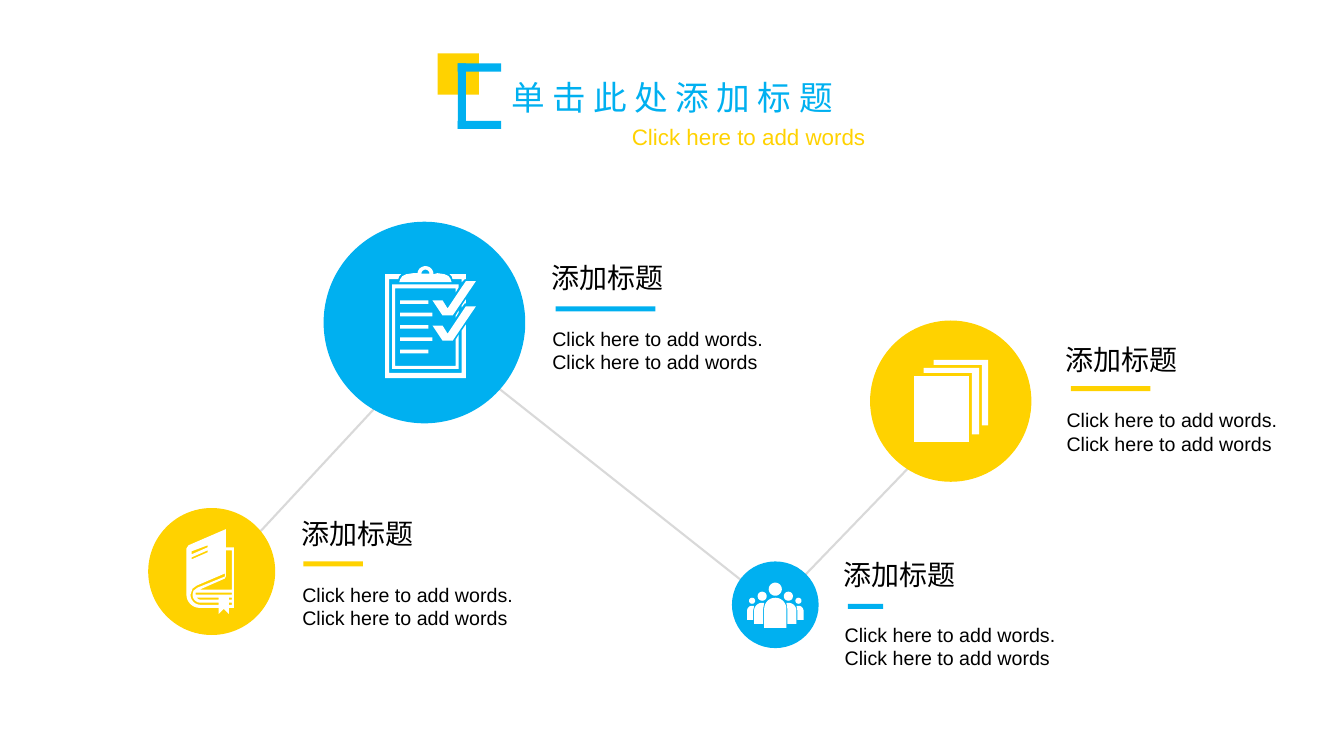
from math import cos, radians, sin

from lxml.etree import SubElement
from pptx import Presentation
from pptx.dml.color import RGBColor
from pptx.enum.shapes import MSO_CONNECTOR as Link, MSO_SHAPE as Kind
from pptx.enum.text import MSO_ANCHOR as Anchor, MSO_AUTO_SIZE as Fit, PP_ALIGN as Align
from pptx.oxml.ns import qn
from pptx.util import Pt

PX = 9144  # 100 px to the inch
BLUE, GOLD, GREY = "00B0F0", "FFD200", "D9D9D9"
WHITE, BLACK = "FFFFFF", "000000"
WORDS = "Click here to add words"

# circle (x, y, size), heading (x, y), bar (x, y, width), colour
NODES = [
    ((321, 220, 200), (537, 254), (551, 304, 99), BLUE),
    ((863, 318, 160), (1047, 335), (1062, 383, 79), GOLD),
    ((147, 504, 126), (289, 508), (301, 557, 59), GOLD),
    ((726, 557, 86), (827, 548), (841, 599, 35), BLUE),
]
LINKS = [(771, 604, 421, 327), (771, 599, 961, 402), (443, 328, 226, 562)]


def scale(*nums):
    return [round(n * PX) for n in nums]


def color(text):
    return RGBColor.from_string(text)


def paint(shape, fill):
    shape.shadow.inherit = False
    shape.fill.solid()
    shape.fill.fore_color.rgb = color(fill)
    shape.line.fill.background()


def block(slide, kind, x, y, w, h, fill):
    paint(slide.shapes.add_shape(kind, *scale(x, y, w, h)), fill)


def link(slide, ends):
    line = slide.shapes.add_connector(Link.STRAIGHT, *scale(*ends))
    line.line.color.rgb = color(GREY)
    line.line.width = Pt(1.5)
    SubElement(line._element.spPr, qn("a:effectLst"))


def write(shape, text, size, fill, align=Align.LEFT):
    frame = shape.text_frame
    form = {"word_wrap": True, "vertical_anchor": Anchor.TOP,
            "auto_size": Fit.SHAPE_TO_FIT_TEXT}
    for key, value in form.items():
        setattr(frame, key, value)
    para = frame.paragraphs[0]
    para.text = text
    para.alignment = align
    for key, value in {"name": "Arial", "size": Pt(size), "bold": False}.items():
        setattr(para.font, key, value)
    para.font.color.rgb = color(fill)


def label(slide, x, y, w, h, *style):
    write(slide.shapes.add_textbox(*scale(x, y, w, h)), *style)


def pairs(*nums):
    return list(zip(nums[::2], nums[1::2]))


def box(x, y, w, h):
    return pairs(x, y, x + w, y, x + w, y + h, x, y + h)


def arc(x, y, r, start=0, end=360):
    """Points round a centre, by degrees clockwise from the right."""
    turns = [radians(start + (end - start) * i / 24) for i in range(25)]
    return [(x + r * cos(t), y + r * sin(t)) for t in turns]


def icon(slide, paths):
    """Draw closed outlines as one white shape, to a tenth of a px."""
    pen = None
    for path in paths:
        first, *rest = [(x * 10, y * 10) for x, y in path]
        if pen is None:
            pen = slide.shapes.build_freeform(*first, scale=PX / 10)
        else:
            pen.move_to(*first)
        pen.add_line_segments(rest, close=True)
    paint(pen.convert_to_shape(), WHITE)


def board(slide):
    """Clipboard with two ticks."""
    paths = [box(397, 298 + 12.25 * i, 32 if i % 2 else 28, 3.5) for i in range(5)]
    for dy in (0, 25):
        tick = pairs(472, 279, 449, 313, 439, 313, 429, 298, 439, 298,
                     444, 306, 462, 279)
        paths.append([(x, y + dy) for x, y in tick])
    paths += [
        pairs(458, 370, 386, 370, 386, 277, 395, 277, 396, 274, 398, 272,
              382, 272, 382, 375, 462, 375, 462, 322, 458, 328),
        pairs(452, 363, 392, 363, 392, 286, 452, 286, 452, 290, 455, 285,
              455, 282, 389, 282, 389, 366, 455, 366, 455, 332, 452, 337),
        pairs(397, 277, 399, 274, 403, 272, 410, 271, 414, 271)
        + arc(422, 272, 8, 180, 360)
        + pairs(434, 271, 441, 272, 445, 274, 447, 277, 448, 280, 396, 280),
        arc(422, 271.5, 4, 180, 360),
        pairs(461, 277, 462, 277, 462, 272, 446, 272, 448, 274, 449, 277,
              458, 277, 458, 280),
        pairs(458, 305, 461, 301, 462, 301, 462, 297, 458, 303),
        pairs(455, 308, 452, 313, 452, 315, 455, 310),
    ]
    icon(slide, paths)


def pages(slide):
    for path in (
        pairs(916, 370, 964, 370, 964, 431, 971, 431, 971, 365, 916, 365),
        pairs(926, 357, 926, 362, 974, 362, 974, 422, 980, 422, 980, 357),
        box(907, 373, 54, 66),
    ):
        icon(slide, [path])


def book(slide):
    icon(slide, [
        pairs(232, 603, 232, 543, 224, 543, 224, 525, 187, 541, 185, 544)
        + arc(198, 590, 13, 180, 90)
        + pairs(217, 603, 217, 609, 222, 604, 227, 609, 227, 603),
        pairs(190, 547, 206, 541, 206, 543, 190, 550),
        pairs(190, 553, 206, 546, 206, 548, 190, 555),
        arc(199, 590, 10, 90, 180)
        + pairs(191, 584, 195, 581, 223, 569, 223, 572, 196, 583, 192, 586)
        + arc(199, 590, 8, 180, 90) + pairs(217, 598, 217, 600),
        pairs(195, 593, 217, 593, 217, 595, 199, 595, 197, 594.5),
        box(227, 598, 3, 2),
        box(227, 593, 3, 2),
        box(194, 588, 36, 2),
        pairs(230, 585, 198, 585, 223, 574, 224, 572, 224, 546, 230, 546),
    ])


def crowd(slide):
    """One person in the middle, two mirrored on each side."""
    mid = 769
    side = [
        arc(792, 596, 3),
        arc(782, 591.5, 4.5),
        pairs(797, 615, 791, 615, 791, 606, 790, 601) + arc(792, 606, 5, -90, 0),
        pairs(790, 619, 781, 619, 781, 604, 780, 598) + arc(782, 606, 8, -90, 0),
    ]
    twin = [[(2 * mid - x, y) for x, y in path] for path in side]
    body = arc(mid, 604, 11, -180, 0) + pairs(780, 623, 758, 623)
    icon(slide, side + twin + [arc(mid, 584.5, 6.5), body])


def head(slide):
    title = slide.shapes.title
    title.left, title.top, title.width, title.height = scale(468, 71, 397, 50)
    write(title, "单 击 此 处 添 加 标 题", 24, BLUE, Align.CENTER)
    label(slide, 544, 117, 397, 37, WORDS, 16, GOLD, Align.CENTER)
    block(slide, Kind.RECTANGLE, 434, 53, 41, 41, GOLD)
    for part in ((454, 63, 8, 65), (454, 63, 43, 8), (454, 120, 43, 8)):
        block(slide, Kind.RECTANGLE, *part, BLUE)


def node(slide, ring, spot, bar, fill):
    x, y = spot
    block(slide, Kind.OVAL, *ring, ring[2], fill)
    block(slide, Kind.RECTANGLE, *bar, 5, fill)
    label(slide, x, y, 295, 44, "添加标题", 20, BLACK)
    label(slide, x + 1, y + 65, 236, 57, f"{WORDS}. {WORDS}", 14, BLACK)


def main():
    deck = Presentation()
    deck.slide_width, deck.slide_height = scale(1333, 750)
    slide = deck.slides.add_slide(deck.slide_layouts[5])
    for ends in LINKS:
        link(slide, ends)
    head(slide)
    for item, draw in zip(NODES, (board, pages, book, crowd)):
        node(slide, *item)
        draw(slide)
    deck.save("out.pptx")


if __name__ == "__main__":
    main()
